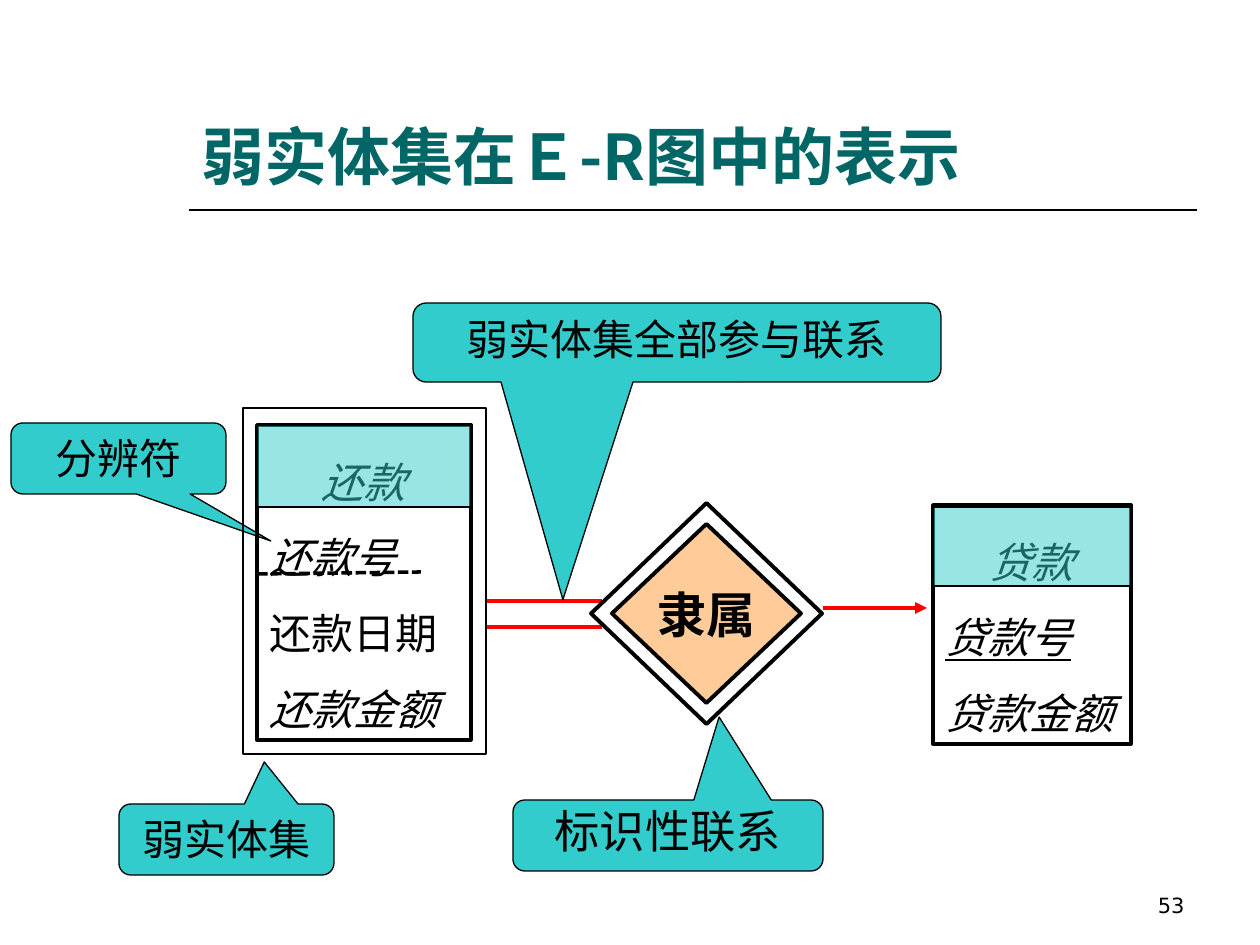
import pptx
import pptx.util
import pptx.dml.color
import pptx.enum.dml
import pptx.enum.shapes
import pptx.enum.text
import pptx.oxml
import pptx.oxml.ns

PX = 914400 / 126
HUES = {"ink": "000000", "title": "006666", "link": "FF0000",
        "note": "33CCCC", "bond": "FFCC99"}
KIND = pptx.enum.shapes.MSO_SHAPE
ALIGN = pptx.enum.text.PP_ALIGN
ANCHOR = pptx.enum.text.MSO_ANCHOR
SERIF = "Times New Roman"


def px(*vals):
    """Turn pixel lengths into EMU."""
    return [round(val * PX) for val in vals]


def hue(name):
    """Look up a colour by its name."""
    return pptx.dml.color.RGBColor.from_string(HUES[name])


def tag(parent, name, **attrs):
    """Append a drawing element to a parent element."""
    node = pptx.oxml.parse_xml(f"<a:{name} {pptx.oxml.ns.nsdecls('a')}/>")
    for key, val in attrs.items():
        node.set(key, val)
    parent.append(node)


def say(frame, text, size=24, font=SERIF, color="ink", bold=False, slant=False,
        under=False, align=ALIGN.LEFT, space=None, same=False):
    """Write text into a frame, in a new paragraph unless same is set."""
    para = frame.paragraphs[-1]
    if para.runs and not same:
        para = frame.add_paragraph()
    para.alignment = align
    if space:
        para.line_spacing = space
    run = para.add_run()
    run.text = text
    run.font.name, run.font.size = font, pptx.util.Pt(size)
    run.font.bold, run.font.italic, run.font.underline = bold, slant, under
    run.font.color.rgb = hue(color)


def field(slide, box, anchor):
    """Add a wrapping text box and return its frame."""
    frame = slide.shapes.add_textbox(*px(*box)).text_frame
    frame.word_wrap = True
    frame.vertical_anchor = anchor
    return frame


def shape(slide, kind, box, fill=None, width=0.75, alpha=None):
    """Add an outlined shape, filled when a colour is named."""
    item = slide.shapes.add_shape(kind, *px(*box))
    item.shadow.inherit = False
    item.line.color.rgb = hue("ink")
    item.line.width = pptx.util.Pt(width)
    if fill:
        item.fill.solid()
        item.fill.fore_color.rgb = hue(fill)
    else:
        item.fill.background()
    if alpha:
        tag(item.fill._xPr.find(".//" + pptx.oxml.ns.qn("a:srgbClr")),
            "alpha", val=str(alpha * 1000))
    return item


def line(slide, ends, color="ink", width=2.25, dash=None, arrow=False):
    """Draw a straight line, with a dash or an arrowhead if asked."""
    item = slide.shapes.add_connector(
        pptx.enum.shapes.MSO_CONNECTOR.STRAIGHT, *px(*ends))
    item.line.color.rgb = hue(color)
    item.line.width = pptx.util.Pt(width)
    if dash:
        item.line.dash_style = dash
    if arrow:
        tag(item.line._get_or_add_ln(), "tailEnd", type="triangle")
    tag(item._element.spPr, "effectLst")


def note(slide, box, tip, text, **fmt):
    """Add a callout whose tip is an offset relative to its size."""
    item = shape(slide, KIND.ROUNDED_RECTANGULAR_CALLOUT, box, "note")
    for index, val in enumerate((*tip, 0.167)):
        item.adjustments[index] = val
    frame = item.text_frame
    frame.word_wrap = True
    frame.vertical_anchor = ANCHOR.TOP
    say(frame, text, align=ALIGN.CENTER, **fmt)


def entity(slide, box, head, name, rows):
    """Add an entity set: a box of attributes under a tinted head."""
    frame = shape(slide, KIND.RECTANGLE, box, width=2).text_frame
    frame.word_wrap = True
    frame.vertical_anchor = ANCHOR.TOP
    frame.auto_size = pptx.enum.text.MSO_AUTO_SIZE.SHAPE_TO_FIT_TEXT
    say(frame, name, slant=True, align=ALIGN.CENTER, space=1.5)
    for text, fmt in rows:
        say(frame, text, space=1.5, **fmt)
    shape(slide, KIND.RECTANGLE, head, "note", alpha=50)


def bond(slide):
    """Add the double diamond of the identifying relationship."""
    item = shape(slide, KIND.DIAMOND, (612, 524, 189, 179), "bond", 2.25)
    frame = item.text_frame
    frame.word_wrap = False
    frame.vertical_anchor = ANCHOR.MIDDLE
    say(frame, "隶属", size=28, bold=True, align=ALIGN.CENTER)
    shape(slide, KIND.DIAMOND, (591, 503, 231, 221), width=2.25)


def main():
    """Build the slide and save it."""
    deck = pptx.Presentation()
    deck.slide_width, deck.slide_height = px(1260, 945)
    slide = deck.slides.add_slide(deck.slide_layouts[6])

    line(slide, (189, 210, 1197, 210), width=1)
    page = field(slide, (903, 861, 294, 63), ANCHOR.BOTTOM)
    say(page, "53", size=12, font="DejaVu Sans", align=ALIGN.RIGHT)
    title = field(slide, (189, 42, 1008, 157), ANCHOR.BOTTOM)
    for text, font in (("弱实体集在", "Arial"), ("Ｅ-R", "Noto Sans CJK JP"),
                       ("图中的表示", "Arial")):
        say(title, text, size=36, font=font, color="title", bold=True, same=True)

    for top in (601, 627):
        line(slide, (486, top, 602, top), "link")
    line(slide, (823, 608, 927, 608), "link", arrow=True)
    bond(slide)

    note(slide, (119, 804, 215, 71), (0.176, -1.093), "弱实体集")
    note(slide, (513, 800, 310, 71), (0.165, -1.67), "标识性联系",
         size=25.9, space=0.9)
    note(slide, (11, 423, 215, 71), (0.709, 1.162), "分辨符")
    note(slide, (413, 303, 528, 79), (-0.216, 3.255), "弱实体集全部参与联系")

    italic = {"slant": True}
    entity(slide, (933, 505, 198, 239), (933, 507, 198, 79), "贷款",
           [("贷款号", {"slant": True, "under": True}), ("贷款金额", italic)])
    entity(slide, (257, 425, 214, 315), (257, 425, 214, 82), "还款",
           [("还款号", italic), ("还款日期", {}), ("还款金额", italic)])
    shape(slide, KIND.RECTANGLE, (243, 408, 243, 346))
    line(slide, (257, 574, 421, 572), width=2,
         dash=pptx.enum.dml.MSO_LINE.SQUARE_DOT)
    deck.save("out.pptx")


if __name__ == "__main__":
    main()
